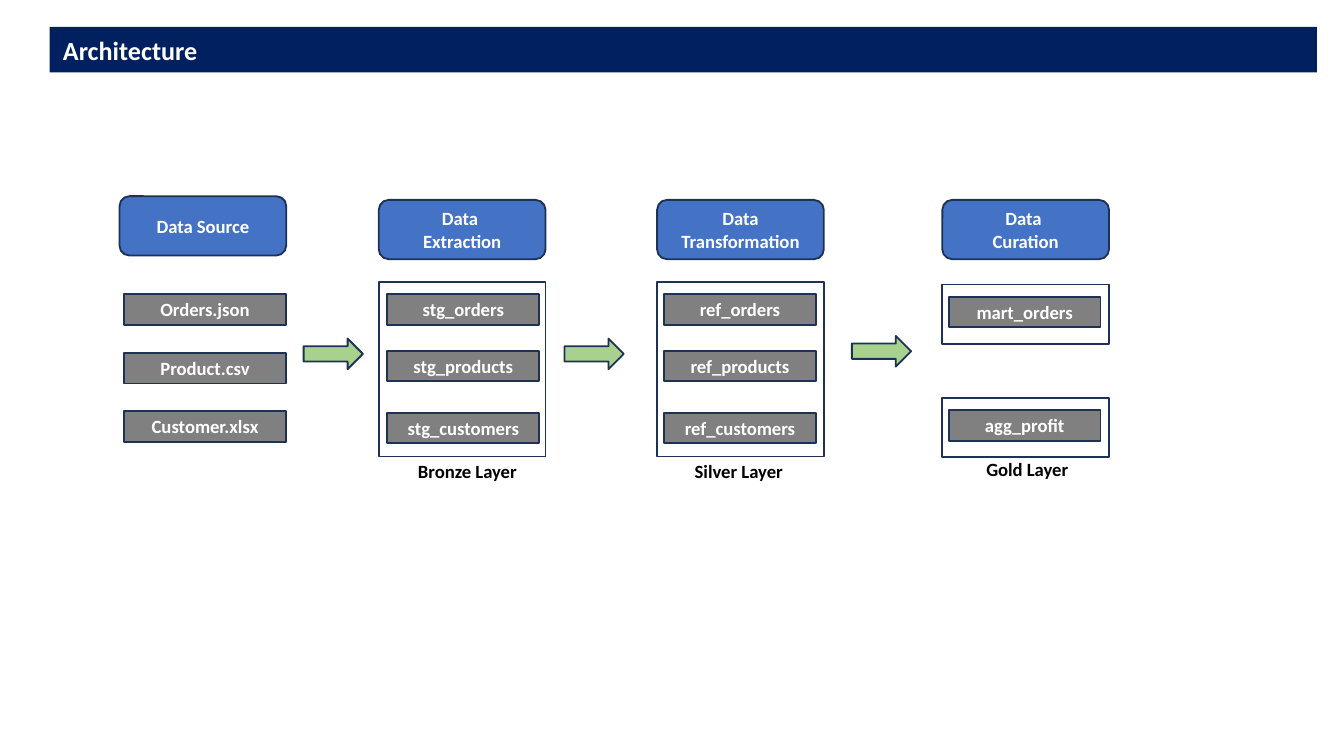
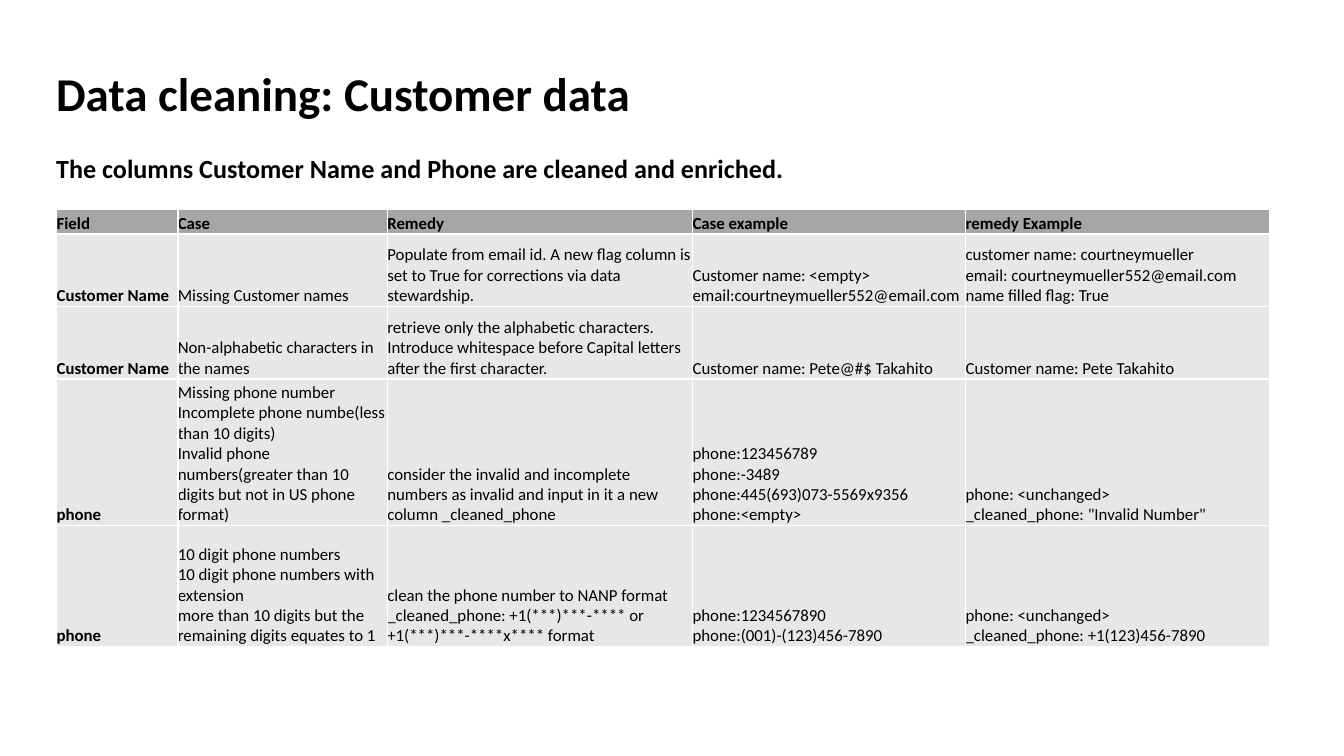
from dataclasses import dataclass

from lxml import etree
from pptx import Presentation
from pptx.dml.color import RGBColor
from pptx.enum.shapes import MSO_SHAPE
from pptx.enum.text import MSO_ANCHOR, MSO_AUTO_SIZE, PP_ALIGN
from pptx.oxml.ns import qn
from pptx.util import Cm, Pt

# Shared look
FONT = "Calibri"
NAVY = RGBColor(0x00, 0x20, 0x60)
OUTLINE = RGBColor(0x1E, 0x32, 0x56)
BLUE = RGBColor(0x44, 0x72, 0xC4)
GRAY = RGBColor(0x80, 0x80, 0x80)
GREEN = RGBColor(0xA9, 0xD1, 0x8E)
HEADER_GRAY = RGBColor(0xA6, 0xA6, 0xA6)
ROW_GRAY = RGBColor(0xE7, 0xE7, 0xE7)
WHITE = RGBColor(0xFF, 0xFF, 0xFF)
BLACK = RGBColor(0x00, 0x00, 0x00)

RECTANGLE = MSO_SHAPE.RECTANGLE
ROUNDED = MSO_SHAPE.ROUNDED_RECTANGLE
RIGHT_ARROW = MSO_SHAPE.RIGHT_ARROW
LEFT, CENTER = PP_ALIGN.LEFT, PP_ALIGN.CENTER
TOP, MIDDLE, BOTTOM = MSO_ANCHOR.TOP, MSO_ANCHOR.MIDDLE, MSO_ANCHOR.BOTTOM
NO_AUTOFIT = MSO_AUTO_SIZE.NONE
TITLE_SLIDE_LAYOUT, TITLE_ONLY_LAYOUT = 0, 5


@dataclass(frozen=True)
class Box:
    """A place on the slide, in centimetres."""
    left: float
    top: float
    width: float
    height: float

    def lengths(self) -> tuple:
        return Cm(self.left), Cm(self.top), Cm(self.width), Cm(self.height)


@dataclass(frozen=True)
class TextStyle:
    size: float
    color: RGBColor = BLACK
    bold: bool = True
    alignment: int = LEFT
    line_spacing: float = 1.0


@dataclass(frozen=True)
class Stage:
    """One column of the architecture, in centimetres."""
    heading: tuple
    left: float
    top: float
    items: tuple
    item_tops: tuple
    item_left: float
    item_width: float
    frames: tuple = ()  # (top, height) of each frame
    layer: str = ""
    layer_box: Box | None = None


BAR_TITLE = TextStyle(14, WHITE)
SHAPE_TEXT = TextStyle(10, WHITE, alignment=CENTER)
LAYER_TEXT = TextStyle(10)
SLIDE_TITLE = TextStyle(25.2, line_spacing=0.9)
STATEMENT = TextStyle(14)
CELL_STRONG = TextStyle(9)
CELL_PLAIN = TextStyle(9, bold=False)

# Architecture content
STAGE_WIDTH, HEADING_HEIGHT, ITEM_HEIGHT = 3.15, 1.12, 0.58
STAGING_TOPS = (5.56, 6.63, 7.8)
STAGES = (
    Stage(("Data Source",), 2.26, 3.71,
          ("Orders.json", "Product.csv", "Customer.xlsx"),
          (5.56, 6.67, 7.77), 2.34, 3.07),
    Stage(("Data ", "Extraction"), 7.16, 3.78,
          ("stg_orders", "stg_products", "stg_customers"),
          STAGING_TOPS, 7.32, 2.87, ((5.33, 3.3),),
          "Bronze Layer", Box(7.65, 8.56, 2.41, 0.69)),
    Stage(("Data Transformation",), 12.42, 3.78,
          ("ref_orders", "ref_products", "ref_customers"),
          STAGING_TOPS, 12.55, 2.87, ((5.33, 3.3),),
          "Silver Layer", Box(12.88, 8.56, 2.21, 0.69)),
    Stage(("Data ", "Curation"), 17.81, 3.78,
          ("mart_orders", "agg_profit"),
          (5.61, 7.75), 17.93, 2.87, ((5.38, 1.12), (7.52, 1.12)),
          "Gold Layer", Box(18.39, 8.53, 2.08, 0.69)),
)
ARROWS = ((5.74, 6.4), (10.67, 6.4), (16.1, 6.35))  # left, top

# Cleaning table content
COLUMN_WIDTHS = (2.29, 3.96, 5.77, 5.16, 5.74)
ROW_HEIGHTS = (0.46, 1.37, 1.37, 2.77, 2.29)
CLEANING_ROWS = (
    ("Field", "Case", "Remedy", "Case example", "remedy Example"),
    ("Customer Name",
     "Missing Customer names",
     "Populate from email id. A new flag column is set to True for "
     "corrections via data stewardship.",
     "Customer name: <empty> \nemail:courtneymueller552@email.com",
     "customer name: courtneymueller\nemail: courtneymueller552@email.com\n"
     "name filled flag: True"),
    ("Customer Name",
     "Non-alphabetic characters in the names",
     "retrieve only the alphabetic characters. Introduce whitespace before "
     "Capital letters after the first character.",
     "Customer name: Pete@#$ Takahito",
     "Customer name: Pete Takahito"),
    ("phone",
     "Missing phone number\nIncomplete phone numbe(less than 10 digits)\n"
     "Invalid phone numbers(greater than 10 digits but not in US phone format)",
     "consider the invalid and incomplete numbers as invalid and input in it "
     "a new column _cleaned_phone",
     "phone:123456789\nphone:-3489\nphone:445(693)073-5569x9356\nphone:<empty>",
     "phone: <unchanged>\n_cleaned_phone: \"Invalid Number\""),
    ("phone",
     "10 digit phone numbers\n10 digit phone numbers with extension\n"
     "more than 10 digits but the remaining digits equates to 1",
     "clean the phone number to NANP format\n"
     "_cleaned_phone: +1(***)***-**** or\n+1(***)***-****x**** format",
     "phone:1234567890\nphone:(001)-(123)456-7890",
     "phone: <unchanged>\n_cleaned_phone: +1(123)456-7890"),
)


# Drawing helpers
def write_text(text_frame, paragraphs: tuple, style: TextStyle) -> None:
    """Write each string as a paragraph; a newline becomes a line break."""
    for index, text in enumerate(paragraphs):
        paragraph = text_frame.add_paragraph() if index else text_frame.paragraphs[0]
        paragraph.alignment = style.alignment
        paragraph.line_spacing = style.line_spacing
        paragraph.space_before = Pt(0)
        for line_index, line in enumerate(text.split("\n")):
            if line_index:
                paragraph.add_line_break()
            run = paragraph.add_run()
            run.text = line
            run.font.name = FONT
            run.font.size = Pt(style.size)
            run.font.bold = style.bold
            run.font.color.rgb = style.color


def fill_placeholder(placeholder, box: Box, text: str, style: TextStyle,
                     anchor: int = MIDDLE, inset: float = 0.13) -> None:
    placeholder.left, placeholder.top, placeholder.width, placeholder.height = box.lengths()
    text_frame = placeholder.text_frame
    text_frame.word_wrap = True
    text_frame.auto_size = NO_AUTOFIT
    text_frame.vertical_anchor = anchor
    text_frame.margin_left = text_frame.margin_right = Cm(0.25)
    text_frame.margin_top = text_frame.margin_bottom = Cm(inset)
    write_text(text_frame, (text,), style)


def add_block(slide, kind: int, box: Box, fill: RGBColor | None = None,
              paragraphs: tuple = ()) -> None:
    shape = slide.shapes.add_shape(kind, *box.lengths())
    shape.shadow.inherit = False
    shape.line.color.rgb = OUTLINE
    shape.line.width = Pt(1)
    if fill is None:
        shape.fill.background()
    else:
        shape.fill.solid()
        shape.fill.fore_color.rgb = fill
    shape.text_frame.vertical_anchor = MIDDLE
    write_text(shape.text_frame, paragraphs, SHAPE_TEXT)


def add_stage(slide, stage: Stage) -> None:
    add_block(slide, ROUNDED, Box(stage.left, stage.top, STAGE_WIDTH, HEADING_HEIGHT),
              BLUE, stage.heading)
    for item, top in zip(stage.items, stage.item_tops):
        add_block(slide, RECTANGLE,
                  Box(stage.item_left, top, stage.item_width, ITEM_HEIGHT), GRAY, (item,))
    for top, height in stage.frames:
        add_block(slide, RECTANGLE, Box(stage.left, top, STAGE_WIDTH, height))
    if stage.layer_box:
        label = slide.shapes.add_textbox(*stage.layer_box.lengths())
        label.text_frame.word_wrap = False
        write_text(label.text_frame, (stage.layer,), LAYER_TEXT)


def format_cell(cell, text: str, style: TextStyle, fill: RGBColor) -> None:
    cell.margin_left = cell.margin_right = cell.margin_top = cell.margin_bottom = 0
    cell.vertical_anchor = BOTTOM
    write_text(cell.text_frame, (text,), style)
    properties = cell._tc.get_or_add_tcPr()
    for side in ("a:lnL", "a:lnR", "a:lnT", "a:lnB"):
        border = etree.SubElement(properties, qn(side), w=str(Pt(1)))
        solid = etree.SubElement(border, qn("a:solidFill"))
        etree.SubElement(solid, qn("a:srgbClr"), val=str(WHITE))
    cell.fill.solid()
    cell.fill.fore_color.rgb = fill


# Slides
def build_architecture(presentation) -> None:
    slide = presentation.slides.add_slide(presentation.slide_layouts[TITLE_ONLY_LAYOUT])
    title = slide.shapes.title
    fill_placeholder(title, Box(0.94, 0.51, 23.95, 0.86), "Architecture", BAR_TITLE)
    title.fill.solid()
    title.fill.fore_color.rgb = NAVY
    for stage in STAGES:
        add_stage(slide, stage)
    for left, top in ARROWS:
        add_block(slide, RIGHT_ARROW, Box(left, top, 1.12, 0.58), GREEN)


def build_cleaning(presentation) -> None:
    slide = presentation.slides.add_slide(presentation.slide_layouts[TITLE_SLIDE_LAYOUT])
    fill_placeholder(slide.shapes.title, Box(0.81, 1.09, 19.05, 1.3),
                     "Data cleaning: Customer data", SLIDE_TITLE, TOP, 0.25)
    fill_placeholder(slide.placeholders[1], Box(0.81, 2.74, 23.37, 0.86),
                     "The columns Customer Name and Phone are cleaned and enriched.",
                     STATEMENT)
    box = Box(1.07, 3.96, sum(COLUMN_WIDTHS), sum(ROW_HEIGHTS))
    table = slide.shapes.add_table(len(ROW_HEIGHTS), len(COLUMN_WIDTHS),
                                   *box.lengths()).table
    for column, width in zip(table.columns, COLUMN_WIDTHS):
        column.width = Cm(width)
    for row, height in zip(table.rows, ROW_HEIGHTS):
        row.height = Cm(height)
    for row_index, texts in enumerate(CLEANING_ROWS):
        fill = ROW_GRAY if row_index else HEADER_GRAY
        for column_index, text in enumerate(texts):
            style = CELL_PLAIN if row_index and column_index else CELL_STRONG
            format_cell(table.cell(row_index, column_index), text, style, fill)


def main() -> None:
    presentation = Presentation()
    presentation.slide_width = Cm(25.4)
    presentation.slide_height = Cm(14.29)
    build_architecture(presentation)
    build_cleaning(presentation)
    presentation.save("out.pptx")


if __name__ == "__main__":
    main()
